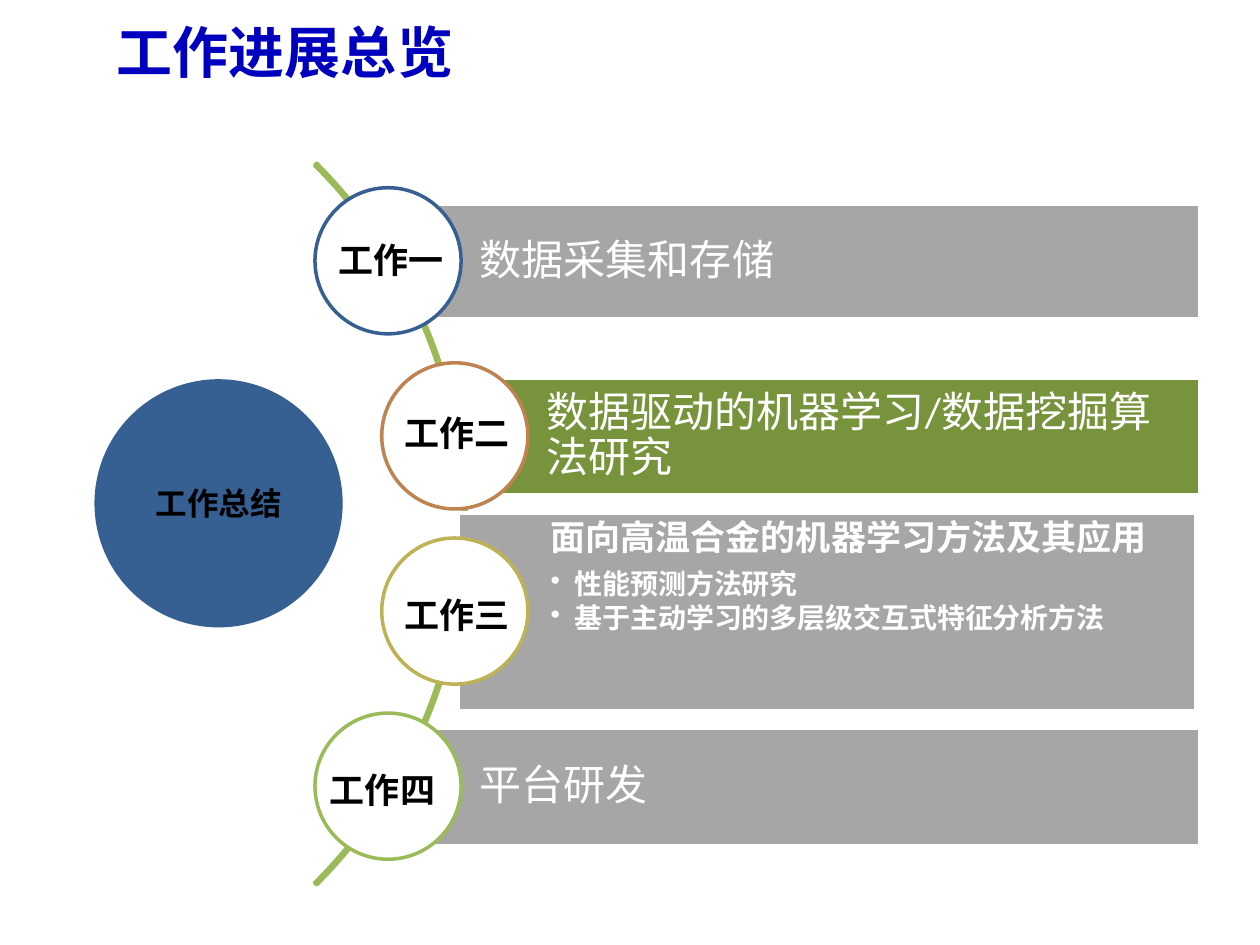
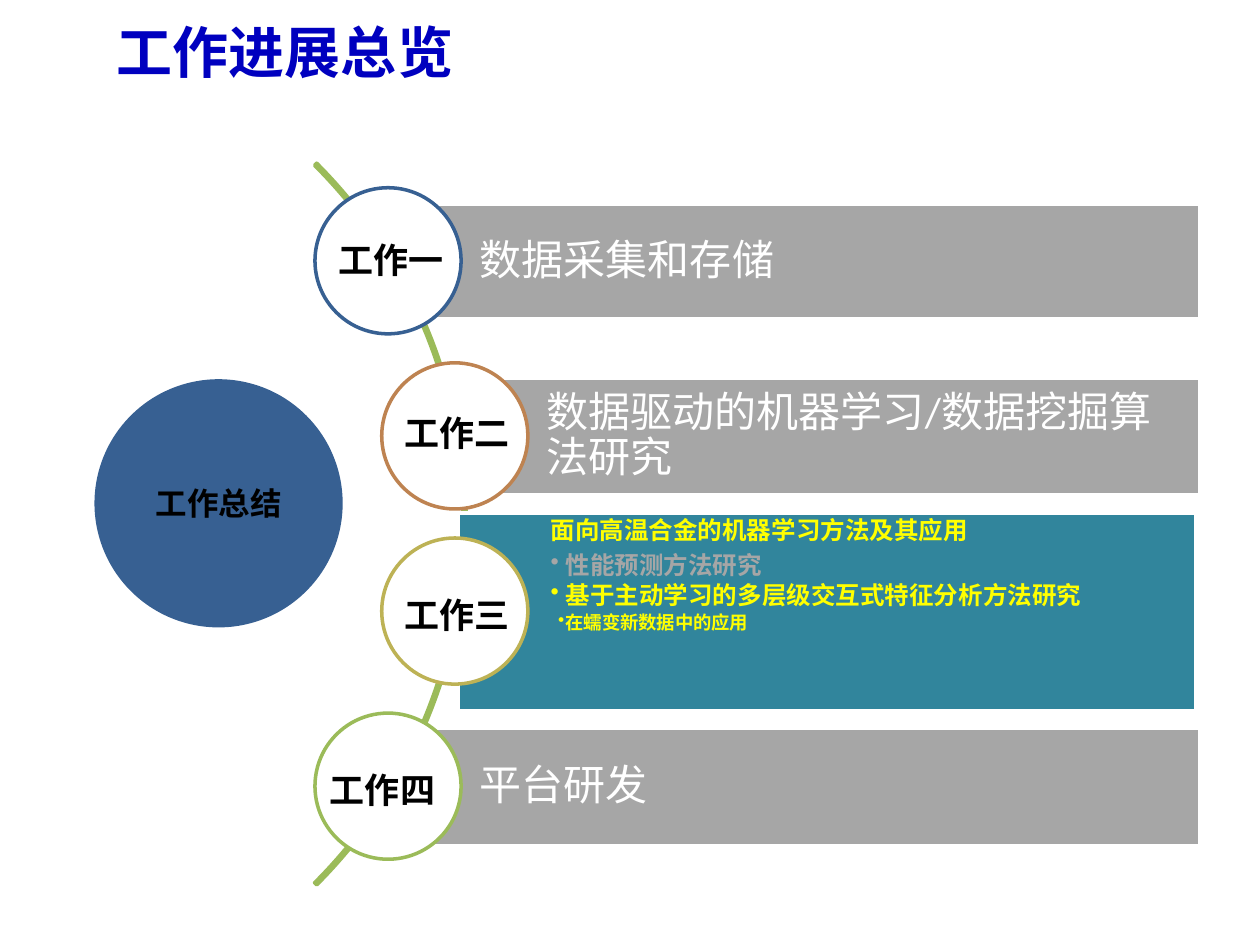
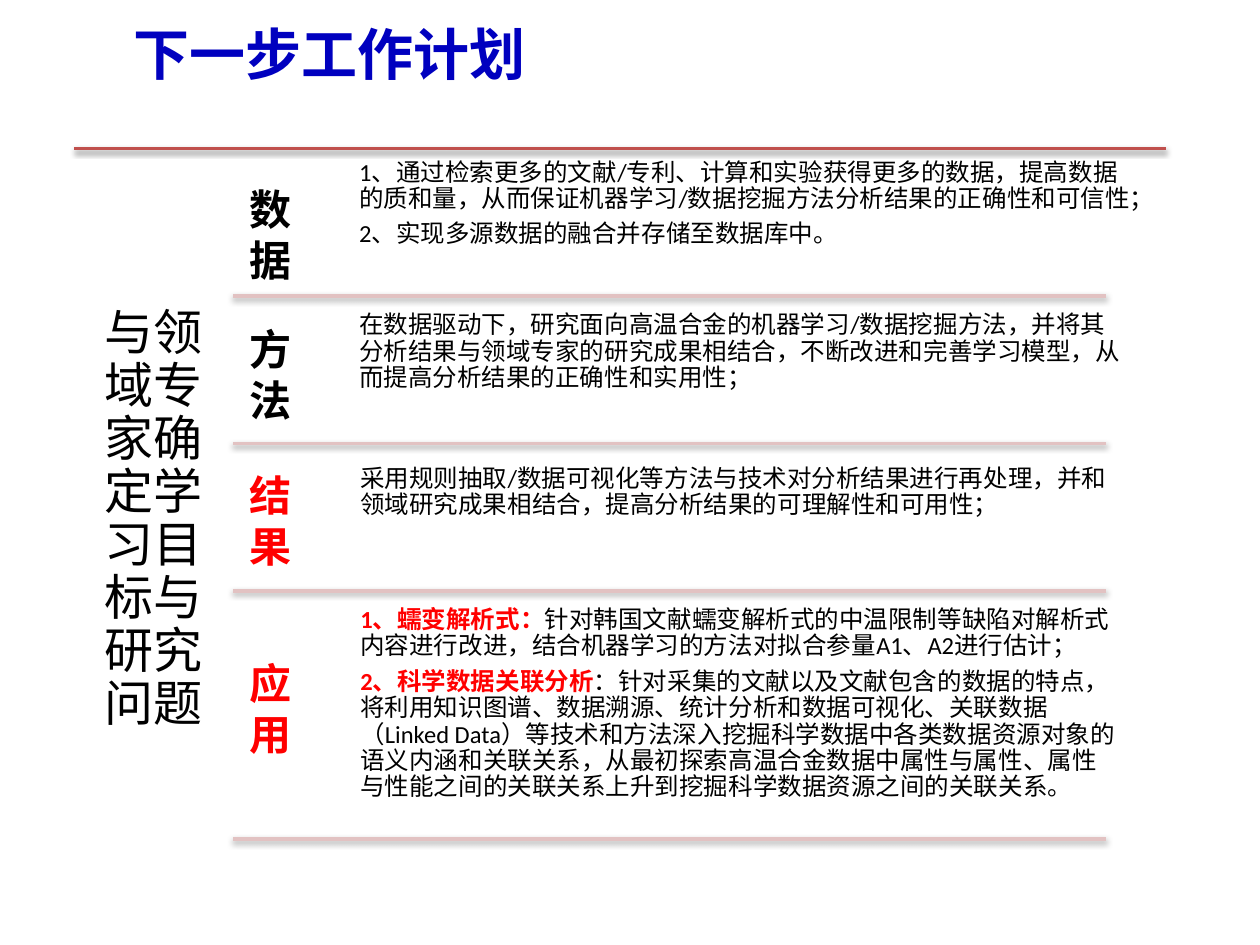
import pptx
import pptx.util
import pptx.dml.color
import pptx.enum.shapes
import pptx.enum.text
import pptx.oxml
import pptx.oxml.ns
from dataclasses import dataclass

Inches = pptx.util.Inches
Pt = pptx.util.Pt
SHAPE = pptx.enum.shapes.MSO_SHAPE
ANCHOR = pptx.enum.text.MSO_ANCHOR
ALIGN = pptx.enum.text.PP_ALIGN


@dataclass(frozen=True)
class Theme:
    title_font: str = "Noto Sans CJK SC"
    body_font: str = "Calibri"
    title: str = "0000BF"
    black: str = "000000"
    white: str = "FFFFFF"
    gray: str = "A6A6A6"
    blue: str = "376092"
    green: str = "77933C"
    lime: str = "9BBB59"
    teal: str = "31859C"
    orange: str = "BE8351"
    olive: str = "BDB255"
    yellow: str = "FFFF00"
    red: str = "FF0000"
    rule: str = "C0504D"
    soft_rule: str = "E2C2C2"
    title_size: float = 32
    goal_size: float = 28
    bar_size: float = 24
    label_size: float = 20
    hub_size: float = 18
    body_size: float = 14
    line: float = 2


T = Theme()

# ---- Content: overview slides ----
# A paragraph is a string, or a dict with "text" (string or list of runs) and format
OVERVIEW_TITLE = "工作进展总览"
HUB = "工作总结"
TOPICS = ["数据采集和存储", "数据驱动的机器学习/数据挖掘算法研究", None, "平台研发"]
ALLOY = "面向高温合金的机器学习方法及其应用"
PREDICT = "性能预测方法研究"
FEATURES = "基于主动学习的多层级交互式特征分析方法"

# Bar and label boxes: left, top, width, height; then circle left and colour
STEPS = [
    ("工作一", (3.08, 1.62, 6.44, 0.91), (2.59, 1.84, 1.11, 0.44), 2.5, T.blue),
    ("工作二", (3.61, 3, 5.91, 0.93), (3.11, 3.22, 1.06, 0.44), 3.03, T.orange),
    ("工作三", (3.64, 4.07, 5.85, 1.57), (3.11, 4.66, 1.18, 0.44), 3.03, T.olive),
    ("工作四", (3.08, 5.78, 6.44, 0.93), (2.52, 6.05, 1.18, 0.44), 2.5, T.lime),
]
CIRCLE_TOP, CIRCLE_STEP, CIRCLE_SIZE = 1.49, 1.39, 1.16

OVERVIEWS = [
    dict(active=1, fill=T.green, inset=0.06, detail=[
        dict(text=ALLOY, size=20),
        dict(text=PREDICT, size=16, bullet=(1, 0.19, 0.19)),
        dict(text=FEATURES, size=16, bullet=(1, 0.19, 0.19)),
    ]),
    dict(active=2, fill=T.teal, inset=0.04, detail=[
        dict(text=ALLOY, size=14, color=T.yellow),
        dict(text=PREDICT, size=14, color=T.gray, bullet=(1, 0.12, 0.12)),
        dict(text=FEATURES + "研究", size=14, color=T.yellow, bullet=(1, 0.12, 0.12)),
        dict(text="在蠕变新数据中的应用", size=10.5, color=T.yellow, bullet=(2, 0.12, 0.06)),
    ]),
]

# ---- Content: plan slide ----
PLAN_TITLE = "下一步工作计划"
GOAL = "与领域专家确定学习目标与研究问题"
KEY = dict(color=T.red, bold=True)

# Label, label colour, label top and width, text box left, top, width, rule below, text
PLAN = [
    (["数", "据"], T.black, 1.41, 0.54, (2.79, 1.21, 6.31), 2.35, [
        "1、通过检索更多的文献/专利、计算和实验获得更多的数据，提高数据的质和量，"
        "从而保证机器学习/数据挖掘方法分析结果的正确性和可信性；",
        "2、实现多源数据的融合并存储至数据库中。"]),
    (["方法"], T.black, 2.52, 0.7, (2.79, 2.42, 6.2), 3.52, [
        "在数据驱动下，研究面向高温合金的机器学习/数据挖掘方法，并将其分析结果与"
        "领域专家的研究成果相结合，不断改进和完善学习模型，从而提高分析结果的正确性和实用性；"]),
    (["结果"], T.red, 3.68, 0.7, (2.8, 3.64, 6.14), 4.69, [
        "采用规则抽取/数据可视化等方法与技术对分析结果进行再处理，并和领域研究成果相结合，"
        "提高分析结果的可理解性和可用性；"]),
    (["应用"], T.red, 5.17, 0.7, (2.8, 4.76, 6.12), 6.66, [
        dict(text=[
            ("1、蠕变解析式：", KEY),
            ("针对韩国文献蠕变解析式的中温限制等缺陷对解析式内容进行改进，"
             "结合机器学习的方法对拟合参量A1、A2进行估计；", {})]),
        dict(text=[
            ("2、科学数据关联分析", KEY),
            ("：针对采集的文献以及文献包含的数据的特点，将利用知识图谱、数据溯源、统计分析和"
             "数据可视化、关联数据（Linked Data）等技术和方法深入挖掘科学数据中各类数据资源对象的"
             "语义内涵和关联关系，从最初探索高温合金数据中属性与属性、属性与性能之间的关联关系"
             "上升到挖掘科学数据资源之间的关联关系。", {})])]),
]


# ---- Helpers ----
def rgb(color):
    return pptx.dml.color.RGBColor.from_string(color)


def inches(box):
    return [Inches(v) for v in box]


def add_xml(parent, xml):
    parent.append(pptx.oxml.parse_xml(xml.replace(">", f" {pptx.oxml.ns.nsdecls('a')}>", 1)))


def style_run(r, size, color, bold, font):
    r.font.size = Pt(size)
    r.font.bold = bold
    r.font.name = font
    r.font.color.rgb = rgb(color)
    ea = r.font._element.makeelement(pptx.oxml.ns.qn("a:ea"), {"typeface": font})
    r.font._element.find(pptx.oxml.ns.qn("a:latin")).addnext(ea)


def write(sp, paras, size=T.body_size, color=T.black, bold=False, font=T.body_font,
          align=ALIGN.LEFT, anchor=ANCHOR.TOP, inset=(0.1, 0.05, 0.1, 0.05),
          spaced=False, grow=False):
    """Fill a shape with paragraphs; spaced gives the tight diagram line spacing."""
    tf = sp.text_frame
    tf.word_wrap = True
    tf.vertical_anchor = anchor
    if grow:
        tf.auto_size = pptx.enum.text.MSO_AUTO_SIZE.SHAPE_TO_FIT_TEXT
    tf.margin_left, tf.margin_top, tf.margin_right, tf.margin_bottom = inches(inset)
    for i, para in enumerate(paras):
        para = para if isinstance(para, dict) else dict(text=para)
        p = tf.paragraphs[0] if i == 0 else tf.add_paragraph()
        p.alignment = align
        base = dict(size=para.get("size", size), color=para.get("color", color),
                    bold=bold, font=font)
        bullet = para.get("bullet")
        if spaced:
            p.line_spacing = 0.9
            p.space_after = Pt(round(base["size"] * (0.15 if bullet else 0.35), 1))
        if bullet:
            p.level, left, hang = bullet
            pPr = p._p.get_or_add_pPr()
            pPr.set("marL", str(Inches(left)))
            pPr.set("indent", str(-Inches(hang)))
            add_xml(pPr, '<a:buChar char="•"></a:buChar>')
        text = para["text"]
        for words, fmt in [(text, {})] if isinstance(text, str) else text:
            r = p.add_run()
            r.text = words
            style_run(r, **{**base, **fmt})


def add_text(slide, box, paras, **fmt):
    write(slide.shapes.add_textbox(*inches(box)), paras, **fmt)


def add_shape(slide, kind, box, fill=None, line=None):
    sp = slide.shapes.add_shape(kind, *inches(box))
    sp.shadow.inherit = False
    if fill:
        sp.fill.solid()
        sp.fill.fore_color.rgb = rgb(fill)
    else:
        sp.fill.background()
    if line:
        sp.line.color.rgb = rgb(line)
        sp.line.width = Pt(T.line)
    else:
        sp.line.fill.background()
    return sp


def add_rule(slide, left, right, y, color):
    cx = slide.shapes.add_connector(pptx.enum.shapes.MSO_CONNECTOR.STRAIGHT,
                                    *inches((left, y, right, y)))
    cx.line.color.rgb = rgb(color)
    cx.line.width = Pt(T.line)
    add_xml(cx._element.spPr,
            f'<a:effectLst><a:outerShdw blurRad="{Pt(3.1)}" dist="{Pt(1.6)}" dir="5400000" '
            'rotWithShape="0"><a:srgbClr val="000000"><a:alpha val="38000"/></a:srgbClr>'
            '</a:outerShdw></a:effectLst>')


def new_slide(prs, title, left, top):
    slide = prs.slides.add_slide(prs.slide_layouts[6])
    add_text(slide, (left, top, 9, 0.87), [title], size=T.title_size, color=T.title,
             bold=True, font=T.title_font, anchor=ANCHOR.MIDDLE)
    return slide


# ---- Slides ----
def build_overview(prs, active, fill, inset, detail):
    slide = new_slide(prs, OVERVIEW_TITLE, 0.83, -0.03)

    # Hub and the arc that carries the steps
    hub = add_shape(slide, SHAPE.OVAL, (0.75, 3.01, 1.97, 1.97), T.blue)
    write(hub, [HUB], size=T.hub_size, bold=True, align=ALIGN.CENTER, anchor=ANCHOR.MIDDLE)
    arc = add_shape(slide, SHAPE.BLOCK_ARC, (-4.4, 0.11, 8.1, 8.1), line=T.lime)
    for i, value in enumerate((189, 27, 0.003)):
        arc.adjustments[i] = value

    # Bars with their circles
    for i, (_, bar_box, _, left, ring) in enumerate(STEPS):
        bar = add_shape(slide, SHAPE.RECTANGLE, bar_box,
                        fill if i == active else T.gray, T.white)
        if TOPICS[i]:
            write(bar, [TOPICS[i]], size=T.bar_size, color=T.white, anchor=ANCHOR.MIDDLE,
                  inset=(0.73, 0.07, 0.07, 0.07), spaced=True)
        else:
            write(bar, detail, color=T.white, bold=True,
                  inset=(0.73, inset, inset, inset), spaced=True)
        add_shape(slide, SHAPE.OVAL,
                  (left, CIRCLE_TOP + i * CIRCLE_STEP, CIRCLE_SIZE, CIRCLE_SIZE), T.white, ring)

    # Circle labels
    for label, _, label_box, _, _ in STEPS:
        add_text(slide, label_box, [label], size=T.label_size, bold=True, grow=True)


def build_plan(prs):
    slide = new_slide(prs, PLAN_TITLE, 0.96, -0.01)
    add_rule(slide, 0.59, 9.25, 1.18, T.rule)
    add_text(slide, (0.59, 1.18, 1.26, 5.9), [GOAL], size=T.goal_size, align=ALIGN.CENTER,
             anchor=ANCHOR.MIDDLE, inset=[0.12] * 4, spaced=True)
    for label, color, label_top, label_width, text_box, rule_y, paras in PLAN:
        add_text(slide, (*text_box, 1.11), paras, inset=[0.06] * 4, spaced=True)
        add_rule(slide, 1.85, 8.78, rule_y, T.soft_rule)
        add_text(slide, (1.88, label_top, label_width, 0.91), label, size=T.bar_size,
                 color=color, bold=True, grow=True)


def main():
    prs = pptx.Presentation()
    prs.slide_width, prs.slide_height = Inches(10), Inches(7.5)
    for overview in OVERVIEWS:
        build_overview(prs, **overview)
    build_plan(prs)
    prs.save("out.pptx")


if __name__ == "__main__":
    main()
